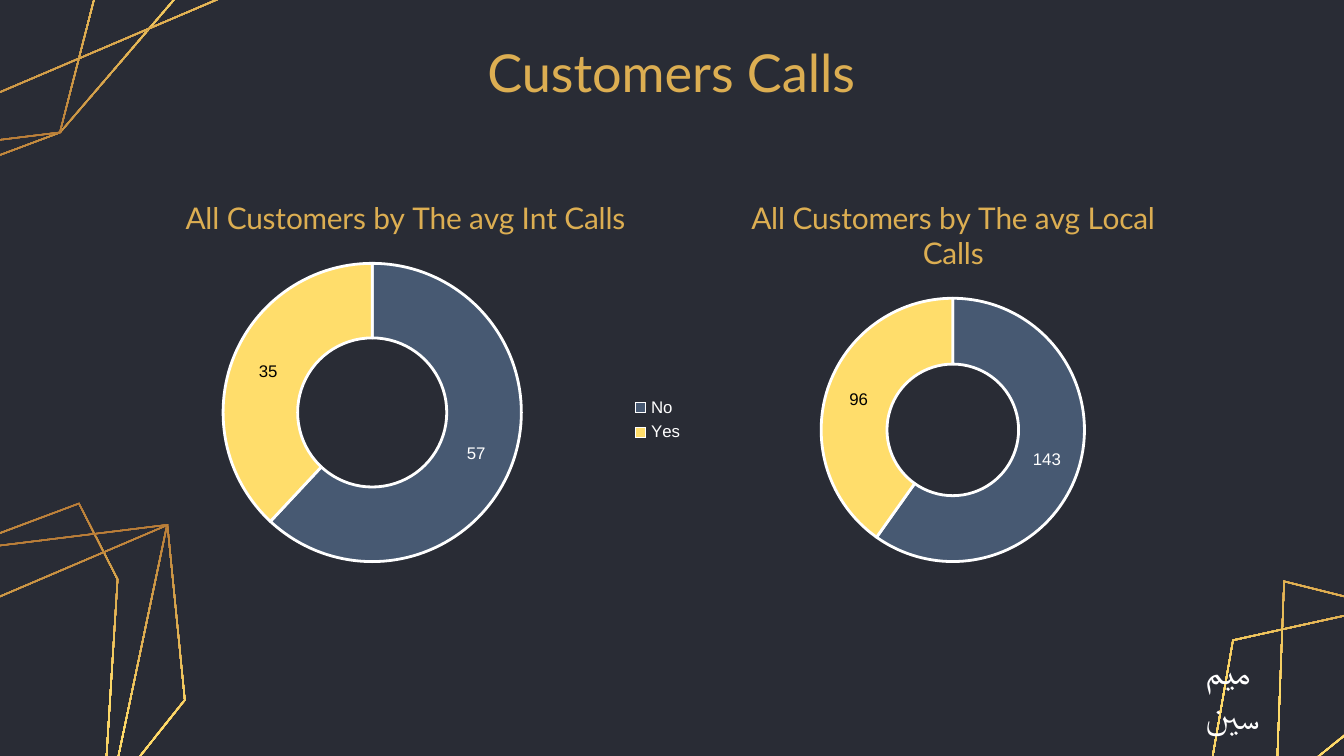
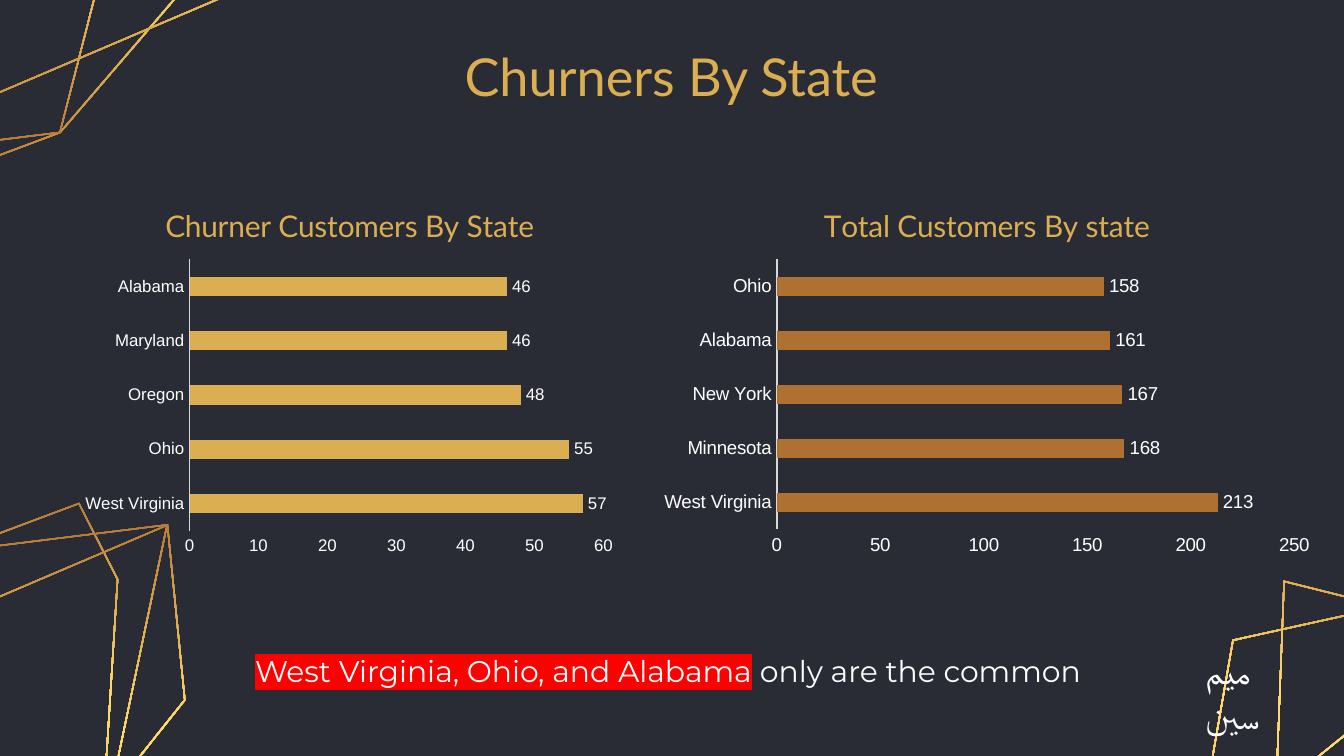
import math

import lxml.etree
import pptx
import pptx.chart.data
import pptx.dml.color
import pptx.enum.chart
import pptx.enum.text
import pptx.oxml.ns
import pptx.util

PX = 9144  # one px is a hundredth of an inch
PAGE_WIDTH = 1000
PAGE_HEIGHT = PAGE_WIDTH * 9 / 16

NIGHT, WHITE, BLACK, RED = "292C35", "FFFFFF", "000000", "FF0000"
GOLD, BRONZE, YELLOW = "DCAE52", "AF7132", "FFDD6B"
SLATE, AXIS_GREY = "475972", "D9D9D9"
HEADING_FONT, BODY_FONT, CHART_FONT = "Lato", "Montserrat", "Arial"

# Corner line art: polygons in page px
LEFT_POLYGONS = [
    [(-104, 676), (-164, 558), (-37, 410), (59, 374), (88, 431), (76, 623)],
    [(-18, 717), (-105, 675), (-37, 410), (125, 390), (76, 623)],
    [(-18, 717), (-161, 512), (125, 390), (138, 521)],
]
RIGHT_POLYGONS = [
    [(889, 636), (917, 476), (1153, 424), (1275, 460), (1260, 538), (1106, 718)],
    [(943, 742), (889, 636), (1153, 424), (1328, 525), (1106, 718)],
    [(943, 742), (955, 432), (1328, 525), (1244, 664)],
]
# The top corner is the left one turned by half a turn
TOP_POLYGONS = [[(8 - x, 509 - y) for x, y in polygon] for polygon in LEFT_POLYGONS]
CORNERS = [(LEFT_POLYGONS, 84.4), (TOP_POLYGONS, 264.4), (RIGHT_POLYGONS, 110)]


def emu(px):
    return pptx.util.Emu(round(px * PX))


def color(hex_string):
    return pptx.dml.color.RGBColor.from_string(hex_string)


def add_child(parent, tag, **attributes):
    child = lxml.etree.SubElement(parent, pptx.oxml.ns.qn(tag))
    for name, value in attributes.items():
        child.set(name, str(value))
    return child


def style_font(font, name, size, hex_string):
    font.name = name
    font.size = pptx.util.Pt(size)
    font.bold = False
    font.color.rgb = color(hex_string)


# ---- Corner line art ----

def inset(polygon, width):
    """Move every side of a clockwise polygon inwards by width."""
    corners = []
    for i, (x, y) in enumerate(polygon):
        before, after = polygon[i - 1], polygon[(i + 1) % len(polygon)]
        angle_in = math.atan2(y - before[1], x - before[0])
        angle_out = math.atan2(after[1] - y, after[0] - x)
        normal_x = -math.sin(angle_in) - math.sin(angle_out)
        normal_y = math.cos(angle_in) + math.cos(angle_out)
        reach = width / (1 + math.cos(angle_out - angle_in))
        corners.append((x + normal_x * reach, y + normal_y * reach))
    return corners


def fill_gold_gradient(shape, angle):
    shape.fill.background()
    old_fill = shape.element.spPr.find(pptx.oxml.ns.qn("a:noFill"))
    gradient = lxml.etree.Element(pptx.oxml.ns.qn("a:gradFill"), rotWithShape="1")
    stops = add_child(gradient, "a:gsLst")
    for percent, hex_string in [(0, BRONZE), (50, YELLOW), (100, GOLD)]:
        stop = add_child(stops, "a:gs", pos=percent * 1000)
        add_child(stop, "a:srgbClr", val=hex_string)
    add_child(gradient, "a:lin", ang=round(angle * 60000), scaled=0)
    old_fill.getparent().replace(old_fill, gradient)


def add_frame(shapes, polygon, angle):
    outer, inner = [
        [(emu(x), emu(y)) for x, y in ring] for ring in (polygon, inset(polygon, 1))
    ]
    inner.reverse()
    builder = shapes.build_freeform(*outer[0], scale=1.0)
    builder.add_line_segments(outer[1:], close=True)
    builder.move_to(*inner[0])
    builder.add_line_segments(inner[1:], close=True)
    frame = builder.convert_to_shape()
    frame.shadow.inherit = False
    frame.line.fill.background()
    fill_gold_gradient(frame, angle)


def add_corners(page):
    for polygons, angle in CORNERS:
        group = page.shapes.add_group_shape()
        for polygon in polygons:
            add_frame(group.shapes, polygon, angle)


# ---- Text ----

def add_text(page, box, spans, font, size, hex_string, centered=True):
    """Write spans of (text, highlight) as one paragraph."""
    text_box = page.shapes.add_textbox(*map(emu, box))
    frame = text_box.text_frame
    frame.word_wrap = True
    para = frame.paragraphs[0]
    style_font(para.font, font, size, hex_string)
    # Arabic letters take the complex script font
    add_child(para.font.fill._xPr, "a:cs", typeface=CHART_FONT)
    if centered:
        para.alignment = pptx.enum.text.PP_ALIGN.CENTER
        frame.vertical_anchor = pptx.enum.text.MSO_ANCHOR.MIDDLE
        frame.margin_top = frame.margin_bottom = emu(10)
    else:
        frame.auto_size = pptx.enum.text.MSO_AUTO_SIZE.SHAPE_TO_FIT_TEXT
    for text, highlight in spans:
        span = para.add_run()
        span.text = text
        if highlight:
            mark = add_child(span.font.fill._xPr, "a:highlight")
            add_child(mark, "a:srgbClr", val=highlight)


def add_page(deck, title, title_top):
    page = deck.slides.add_slide(deck.slide_layouts[6])
    add_corners(page)
    add_text(page, (218, title_top, 563, 47), [(title, None)], HEADING_FONT, 28, GOLD)
    add_text(page, (887, 477, 94, 44), [("ميم سين", None)],
             HEADING_FONT, 20, WHITE, centered=False)
    return page


# ---- Charts ----

def make_layout(chart_box, left, top, size=None):
    """Manual layout from px measured inside the chart box."""
    width, height = chart_box[2:]
    layout = lxml.etree.Element(pptx.oxml.ns.qn("c:layout"))
    manual = add_child(layout, "c:manualLayout")
    if size:
        add_child(manual, "c:layoutTarget", val="inner")
    add_child(manual, "c:xMode", val="edge")
    add_child(manual, "c:yMode", val="edge")
    add_child(manual, "c:x", val=round(left / width, 4))
    add_child(manual, "c:y", val=round(top / height, 4))
    if size:
        add_child(manual, "c:w", val=round(size[0] / width, 4))
        add_child(manual, "c:h", val=round(size[1] / height, 4))
    return layout


def place_part(chart, tag, index, layout):
    part = chart.element.find(".//" + pptx.oxml.ns.qn(tag))
    for old_layout in part.findall(pptx.oxml.ns.qn("c:layout")):
        part.remove(old_layout)
    part.insert(index, layout)


def add_chart(page, kind, box, title, title_left, plot_box, categories, values):
    data = pptx.chart.data.CategoryChartData()
    data.categories = categories
    data.add_series("Series 1", values)
    chart = page.shapes.add_chart(kind, *map(emu, box), data).chart
    style_font(chart.font, CHART_FONT, 10, BLACK)
    chart.has_legend = False

    # Title
    chart.has_title = True
    para = chart.chart_title.text_frame.paragraphs[0]
    para.add_run().text = title
    style_font(para.font, HEADING_FONT, 16, GOLD)
    place_part(chart, "c:title", 1, make_layout(box, title_left, 11))

    # Plot area
    left, top, *size = plot_box
    place_part(chart, "c:plotArea", 0, make_layout(box, left, top, size))
    return chart


def show_values(series, size):
    labels = series.data_labels
    labels.show_value = True
    style_font(labels.font, CHART_FONT, size, WHITE)
    return labels


def add_doughnut(page, box, title, title_left, plot_box, categories, values):
    chart = add_chart(page, pptx.enum.chart.XL_CHART_TYPE.DOUGHNUT, box, title,
                      title_left, plot_box, categories, values)
    chart.element.find(".//" + pptx.oxml.ns.qn("c:holeSize")).set("val", "75")
    series = chart.plots[0].series[0]
    labels = show_values(series, 9)
    labels.number_format = "0"
    labels.number_format_is_linked = False
    for i, hex_string in enumerate([SLATE, YELLOW]):
        slice_format = series.points[i].format
        slice_format.fill.solid()
        slice_format.fill.fore_color.rgb = color(hex_string)
        slice_format.line.color.rgb = color(WHITE)
        slice_format.line.width = pptx.util.Pt(1.5)
    style_font(series.points[1].data_label.font, CHART_FONT, 9, BLACK)
    return chart


def add_bars(page, box, title, title_left, plot_box, categories, values,
             bar_color, size, maximum, step):
    chart = add_chart(page, pptx.enum.chart.XL_CHART_TYPE.BAR_CLUSTERED, box, title,
                      title_left, plot_box, categories, values)
    plot = chart.plots[0]
    plot.gap_width = 182
    plot.vary_by_categories = False
    series = plot.series[0]
    series.format.fill.solid()
    series.format.fill.fore_color.rgb = color(bar_color)
    labels = show_values(series, size)
    labels.position = pptx.enum.chart.XL_LABEL_POSITION.OUTSIDE_END

    # Axes
    for axis in (chart.category_axis, chart.value_axis):
        axis.major_tick_mark = axis.minor_tick_mark = pptx.enum.chart.XL_TICK_MARK.NONE
        axis.has_major_gridlines = False
        style_font(axis.tick_labels.font, CHART_FONT, size, WHITE)
    chart.category_axis.format.line.color.rgb = color(AXIS_GREY)
    chart.category_axis.format.line.width = pptx.util.Pt(0.75)
    chart.value_axis.format.line.fill.background()
    chart.value_axis.minimum_scale = 0
    chart.value_axis.maximum_scale = maximum
    chart.value_axis.major_unit = step


# ---- Slides ----

def build_calls_page(deck):
    page = add_page(deck, "Customers Calls", 30)
    box = (89, 131, 427, 300)
    chart = add_doughnut(page, box, "All Customers by The avg Int Calls",
                         45, (77, 65, 222, 222), ["No", "Yes"], [57, 35])
    chart.has_legend = True
    chart.legend.position = pptx.enum.chart.XL_LEGEND_POSITION.RIGHT
    chart.legend.include_in_layout = False
    style_font(chart.legend.font, CHART_FONT, 9, WHITE)
    place_part(chart, "c:legend", 1, make_layout(box, 380, 161))
    add_doughnut(page, (500, 131, 417, 300), "All Customers by The avg Local Calls",
                 55, (111, 91, 196, 196), ["1", "2"], [143, 96])


def build_states_page(deck):
    page = add_page(deck, "Churners By State", 33)
    add_text(page, (156, 480, 688, 38),
             [("West Virginia, Ohio, and Alabama", RED), (" only are the common ", None)],
             BODY_FONT, 16, WHITE)
    add_bars(page, (55, 137, 409, 282), "Churner Customers By State", 64,
             (86, 56, 308, 202),
             ["West Virginia", "Ohio", "Oregon", "Maryland", "Alabama"],
             [57, 55, 48, 46, 46], GOLD, 9, 60, 10)
    add_bars(page, (484, 137, 500, 282), "Total Customers By state", 125,
             (94, 56, 385, 201),
             ["West Virginia", "Minnesota", "New York", "Alabama", "Ohio"],
             [213, 168, 167, 161, 158], BRONZE, 10, 250, 50)


def main():
    deck = pptx.Presentation()
    deck.slide_width, deck.slide_height = emu(PAGE_WIDTH), emu(PAGE_HEIGHT)
    background = deck.slide_master.background.fill
    background.solid()
    background.fore_color.rgb = color(NIGHT)
    build_calls_page(deck)
    build_states_page(deck)
    deck.save("out.pptx")


if __name__ == "__main__":
    main()
